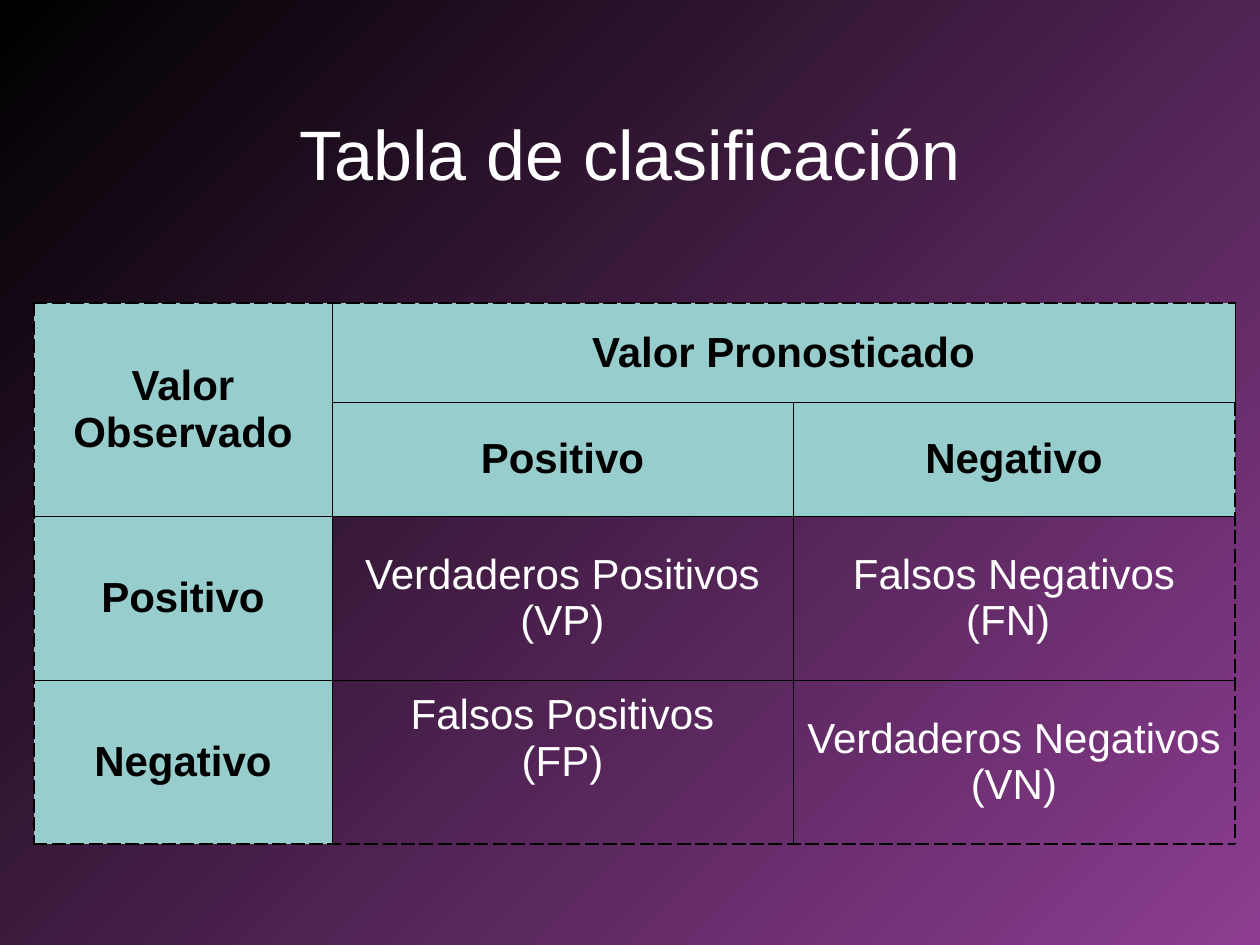
from lxml import etree
from pptx import Presentation
from pptx.dml.color import RGBColor
from pptx.enum.text import MSO_ANCHOR, PP_ALIGN
from pptx.oxml.ns import qn
from pptx.util import Emu, Pt

CENTER = PP_ALIGN.CENTER
MIDDLE = MSO_ANCHOR.MIDDLE

BLACK = RGBColor(0x00, 0x00, 0x00)
WHITE = RGBColor(0xFF, 0xFF, 0xFF)
PURPLE = RGBColor(0x8C, 0x3D, 0x91)
AQUA = RGBColor(0x97, 0xCD, 0xCC)
FONT = "Arial"

TITLE = "Tabla de clasificación"
ROWS = [
    [["Valor Observado"], ["Valor Pronosticado"], []],
    [[], ["Positivo"], ["Negativo"]],
    [["Positivo"], ["Verdaderos Positivos", "(VP)"], ["Falsos Negativos", "(FN) "]],
    [["Negativo"], ["Falsos Positivos", "(FP)"], ["Verdaderos Negativos", "(VN)"]],
]
MERGES = [((0, 0), (1, 0)), ((0, 1), (0, 2))]
HEADER_ROWS = 2
FALSE_POSITIVES = (3, 1)

TITLE_BOX = (63, 73, 1134, 158)
TABLE_LEFT, TABLE_TOP = 34, 303
COLUMN_WIDTHS = [298, 461, 442]
ROW_HEIGHTS = [99, 114, 164, 164]
RAISED_MARGIN = 53


def px(length):
    return Emu(round(length * 914400 / 126))


def write(paragraph, lines, size, color, bold=False):
    paragraph.alignment = CENTER
    for index, line in enumerate(lines):
        if index:
            paragraph.add_line_break()
        run = paragraph.add_run()
        run.text = line
        run.font.name = FONT
        run.font.size = Pt(size)
        run.font.bold = bold
        run.font.color.rgb = color


def set_borders(cell, row, column):
    outer_sides = {
        "L": column == 0,
        "R": column == len(COLUMN_WIDTHS) - 1,
        "T": row == 0,
        "B": row == len(ROW_HEIGHTS) - 1,
    }
    properties = cell._tc.get_or_add_tcPr()
    for index, (side, outer) in enumerate(outer_sides.items()):
        border = etree.Element(qn("a:ln" + side), w=str(Pt(0.75 if outer else 0.45)))
        fill = etree.SubElement(border, qn("a:solidFill"))
        etree.SubElement(fill, qn("a:srgbClr"), val=str(BLACK))
        etree.SubElement(border, qn("a:prstDash"), val="dash" if outer else "solid")
        properties.insert(index, border)


def add_classification_table(slide):
    table = slide.shapes.add_table(
        len(ROW_HEIGHTS), len(COLUMN_WIDTHS), px(TABLE_LEFT), px(TABLE_TOP),
        px(sum(COLUMN_WIDTHS)), px(sum(ROW_HEIGHTS))).table
    table.first_row = table.horz_banding = False
    for column, width in zip(table.columns, COLUMN_WIDTHS):
        column.width = px(width)
    for row, height in zip(table.rows, ROW_HEIGHTS):
        row.height = px(height)
    for start, end in MERGES:
        table.cell(*start).merge(table.cell(*end))
    for r, row in enumerate(ROWS):
        for c, lines in enumerate(row):
            cell = table.cell(r, c)
            header = r < HEADER_ROWS or c == 0
            cell.vertical_anchor = MIDDLE
            if header:
                cell.fill.solid()
                cell.fill.fore_color.rgb = AQUA
            else:
                cell.fill.background()
            set_borders(cell, r, c)
            write(cell.text_frame.paragraphs[0], lines, 24,
                  BLACK if header else WHITE, header)
    table.cell(*FALSE_POSITIVES).margin_bottom = px(RAISED_MARGIN)


def main():
    deck = Presentation()
    deck.slide_width, deck.slide_height = px(1260), px(945)
    slide = deck.slides.add_slide(deck.slide_layouts[5])

    background = slide.background.fill
    background.gradient()
    background.gradient_angle = 315
    for stop, color in zip(background.gradient_stops, (BLACK, PURPLE)):
        stop.color.rgb = color

    title = slide.shapes.title
    title.left, title.top, title.width, title.height = map(px, TITLE_BOX)
    title.text_frame.vertical_anchor = MIDDLE
    write(title.text_frame.paragraphs[0], [TITLE], 40, WHITE)

    add_classification_table(slide)
    deck.save("out.pptx")


if __name__ == "__main__":
    main()
